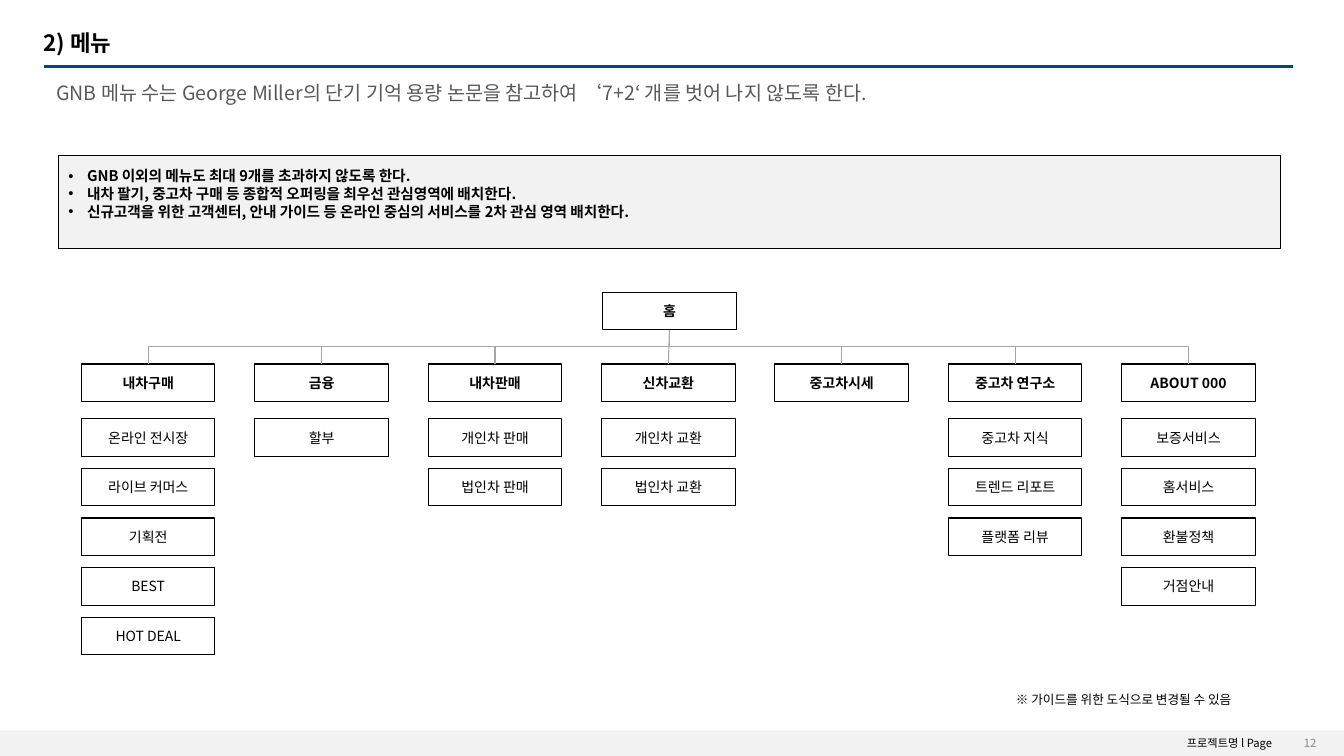
from dataclasses import dataclass
from typing import Optional

from lxml.etree import SubElement
from pptx import Presentation
from pptx.dml.color import RGBColor
from pptx.enum.shapes import MSO_CONNECTOR, MSO_SHAPE
from pptx.enum.text import MSO_ANCHOR, PP_ALIGN
from pptx.oxml.ns import qn
from pptx.shapes.autoshape import Shape
from pptx.shapes.connector import Connector
from pptx.slide import Slide
from pptx.util import Pt

FONT = "Noto Sans CJK KR"
BLACK = RGBColor(0x00, 0x00, 0x00)
WHITE = RGBColor(0xFF, 0xFF, 0xFF)
PALE_GRAY = RGBColor(0xF2, 0xF2, 0xF2)
LINE_GRAY = RGBColor(0xA5, 0xA5, 0xA5)
TEXT_GRAY = RGBColor(0x59, 0x59, 0x59)
PAGE_GRAY = RGBColor(0x88, 0x88, 0x88)
NAVY = RGBColor(0x00, 0x45, 0x8A)

# Menu tree grid, in points
BOX_WIDTH, BOX_HEIGHT = 95.4, 26.8
HOME_LEFT, HOME_TOP = 430.5, 208.8
COLUMN_LEFT, COLUMN_PITCH = 58.2, 123.84
CATEGORY_TOP = 260
ITEM_TOP, ITEM_PITCH = 299.2, 35.4


@dataclass(frozen=True)
class Area:
    left: float
    top: float
    width: float
    height: float


@dataclass(frozen=True)
class TextStyle:
    size: float
    color: RGBColor = BLACK
    bold: bool = False
    align: PP_ALIGN = PP_ALIGN.LEFT
    anchor: MSO_ANCHOR = MSO_ANCHOR.TOP
    line_spacing: Optional[float] = None
    side_inset: float = 7.2
    top_inset: float = 3.6
    bullet_indent: float = 0


@dataclass(frozen=True)
class Label:
    text: str
    area: Area
    style: TextStyle


@dataclass(frozen=True)
class Menu:
    title: str
    items: tuple[str, ...] = ()


CATEGORY_STYLE = TextStyle(10, bold=True, align=PP_ALIGN.CENTER,
                           anchor=MSO_ANCHOR.MIDDLE, side_inset=0)
ITEM_STYLE = TextStyle(10, align=PP_ALIGN.CENTER, anchor=MSO_ANCHOR.MIDDLE, side_inset=0)
RULES_STYLE = TextStyle(10.5, bold=True, top_inset=8.64, bullet_indent=13.5)

LABELS = (
    Label("프로젝트명 l Page", Area(720, 522.7, 195.8, 17),
          TextStyle(8, align=PP_ALIGN.RIGHT)),
    Label("12", Area(897, 525.6, 50.4, 10.8),
          TextStyle(8, PAGE_GRAY, align=PP_ALIGN.RIGHT, anchor=MSO_ANCHOR.MIDDLE)),
    Label("GNB 메뉴 수는 George Miller의 단기 기억 용량 논문을 참고하여 ‘7+2‘ 개를 벗어 나지 않도록 한다.",
          Area(33, 56.2, 890.6, 31.7), TextStyle(14, TEXT_GRAY, line_spacing=0.9)),
    Label("2) 메뉴", Area(24.2, 20.2, 890.6, 22.3),
          TextStyle(16, bold=True, anchor=MSO_ANCHOR.MIDDLE, line_spacing=0.9)),
    Label("※ 가이드를 위한 도식으로 변경될 수 있음", Area(718.6, 490.3, 195.8, 18), TextStyle(9)),
)

RULES = (
    "GNB 이외의 메뉴도 최대 9개를 초과하지 않도록 한다.",
    "내차 팔기, 중고차 구매 등 종합적 오퍼링을 최우선 관심영역에 배치한다.",
    "신규고객을 위한 고객센터, 안내 가이드 등 온라인 중심의 서비스를 2차 관심 영역 배치한다.",
)

MENUS = (
    Menu("내차구매", ("온라인 전시장", "라이브 커머스", "기획전", "BEST", "HOT DEAL")),
    Menu("금융", ("할부",)),
    Menu("내차판매", ("개인차 판매", "법인차 판매")),
    Menu("신차교환", ("개인차 교환", "법인차 교환")),
    Menu("중고차시세"),
    Menu("중고차 연구소", ("중고차 지식", "트렌드 리포트", "플랫폼 리뷰")),
    Menu("ABOUT 000", ("보증서비스", "홈서비스", "환불정책", "거점안내")),
)


def write_text(shape: Shape, lines: tuple[str, ...], style: TextStyle) -> None:
    frame = shape.text_frame
    frame.word_wrap = True
    frame.vertical_anchor = style.anchor
    frame.margin_left = frame.margin_right = Pt(style.side_inset)
    frame.margin_top, frame.margin_bottom = Pt(style.top_inset), Pt(3.6)
    for index, line in enumerate(lines):
        paragraph = frame.add_paragraph() if index else frame.paragraphs[0]
        paragraph.alignment = style.align
        if style.line_spacing:
            paragraph.line_spacing = style.line_spacing
        if style.bullet_indent:
            properties = paragraph._p.get_or_add_pPr()
            properties.set("marL", str(Pt(style.bullet_indent)))
            properties.set("indent", str(-Pt(style.bullet_indent)))
            SubElement(properties, qn("a:buFont"), typeface="Arial")
            SubElement(properties, qn("a:buChar"), char="•")
        run = paragraph.add_run()
        run.text = line
        run.font.size = Pt(style.size)
        run.font.bold = style.bold
        run.font.color.rgb = style.color
        run.font.name = FONT
        SubElement(run._r.get_or_add_rPr(), qn("a:ea"), typeface=FONT)


def add_label(slide: Slide, label: Label) -> None:
    area = label.area
    shape = slide.shapes.add_textbox(Pt(area.left), Pt(area.top), Pt(area.width), Pt(area.height))
    write_text(shape, (label.text,), label.style)


def add_box(slide: Slide, area: Area, fill: RGBColor, outlined: bool = True) -> Shape:
    shape = slide.shapes.add_shape(MSO_SHAPE.RECTANGLE, Pt(area.left), Pt(area.top),
                                   Pt(area.width), Pt(area.height))
    shape.shadow.inherit = False
    shape.fill.solid()
    shape.fill.fore_color.rgb = fill
    if outlined:
        shape.line.color.rgb = BLACK
        shape.line.width = Pt(0.75)
    else:
        shape.line.fill.background()
    return shape


def add_menu_box(slide: Slide, left: float, top: float, text: str, style: TextStyle) -> Shape:
    shape = add_box(slide, Area(left, top, BOX_WIDTH, BOX_HEIGHT), WHITE)
    write_text(shape, (text,), style)
    return shape


def add_line(slide: Slide, kind: MSO_CONNECTOR, start: tuple[float, float],
             end: tuple[float, float], color: RGBColor, width: float) -> Connector:
    connector = slide.shapes.add_connector(kind, Pt(start[0]), Pt(start[1]), Pt(end[0]), Pt(end[1]))
    connector.line.color.rgb = color
    connector.line.width = Pt(width)
    SubElement(connector._element.spPr, qn("a:effectLst"))
    return connector


def add_branch(slide: Slide, category_x: float) -> None:
    """Draw an elbow from a category's top to the bottom of the home box."""
    home_x, home_bottom = HOME_LEFT + BOX_WIDTH / 2, HOME_TOP + BOX_HEIGHT
    middle_x, middle_y = (category_x + home_x) / 2, (CATEGORY_TOP + home_bottom) / 2
    half_span, half_drop = abs(home_x - category_x) / 2, (CATEGORY_TOP - home_bottom) / 2
    side = 1 if category_x < home_x else -1
    # The elbow is laid out sideways, then turned a quarter
    connector = add_line(slide, MSO_CONNECTOR.ELBOW,
                         (middle_x - side * half_drop, middle_y - half_span),
                         (middle_x + side * half_drop, middle_y + half_span), LINE_GRAY, 0.75)
    turn = 270 if side == 1 else 90
    connector._element.spPr.find(qn("a:xfrm")).set("rot", str(turn * 60000))


def add_menu_tree(slide: Slide) -> None:
    home = add_menu_box(slide, HOME_LEFT, HOME_TOP, "홈", CATEGORY_STYLE)
    for column, menu in enumerate(MENUS):
        left = COLUMN_LEFT + column * COLUMN_PITCH
        category = add_menu_box(slide, left, CATEGORY_TOP, menu.title, CATEGORY_STYLE)
        if column == len(MENUS) // 2:
            stem = add_line(slide, MSO_CONNECTOR.STRAIGHT, (HOME_LEFT, HOME_TOP),
                            (left, CATEGORY_TOP), LINE_GRAY, 0.75)
            stem.begin_connect(home, 2)
            stem.end_connect(category, 0)
        else:
            add_branch(slide, left + BOX_WIDTH / 2)
        for row, item in enumerate(menu.items):
            add_menu_box(slide, left, ITEM_TOP + row * ITEM_PITCH, item, ITEM_STYLE)


def main() -> None:
    presentation = Presentation()
    presentation.slide_width, presentation.slide_height = Pt(960), Pt(540)
    slide = presentation.slides.add_slide(presentation.slide_layouts[6])
    # Footer band, title rule and labels
    add_box(slide, Area(0, 521.7, 960, 18.3), PALE_GRAY, outlined=False)
    add_line(slide, MSO_CONNECTOR.STRAIGHT, (31.5, 47.5), (923.7, 47.5), NAVY, 2.25)
    for label in LABELS:
        add_label(slide, label)
    # Menu rules
    rules_box = add_box(slide, Area(41.7, 110.8, 872.9, 66.7), PALE_GRAY)
    write_text(rules_box, RULES, RULES_STYLE)
    add_menu_tree(slide)
    presentation.save("out.pptx")


if __name__ == "__main__":
    main()
